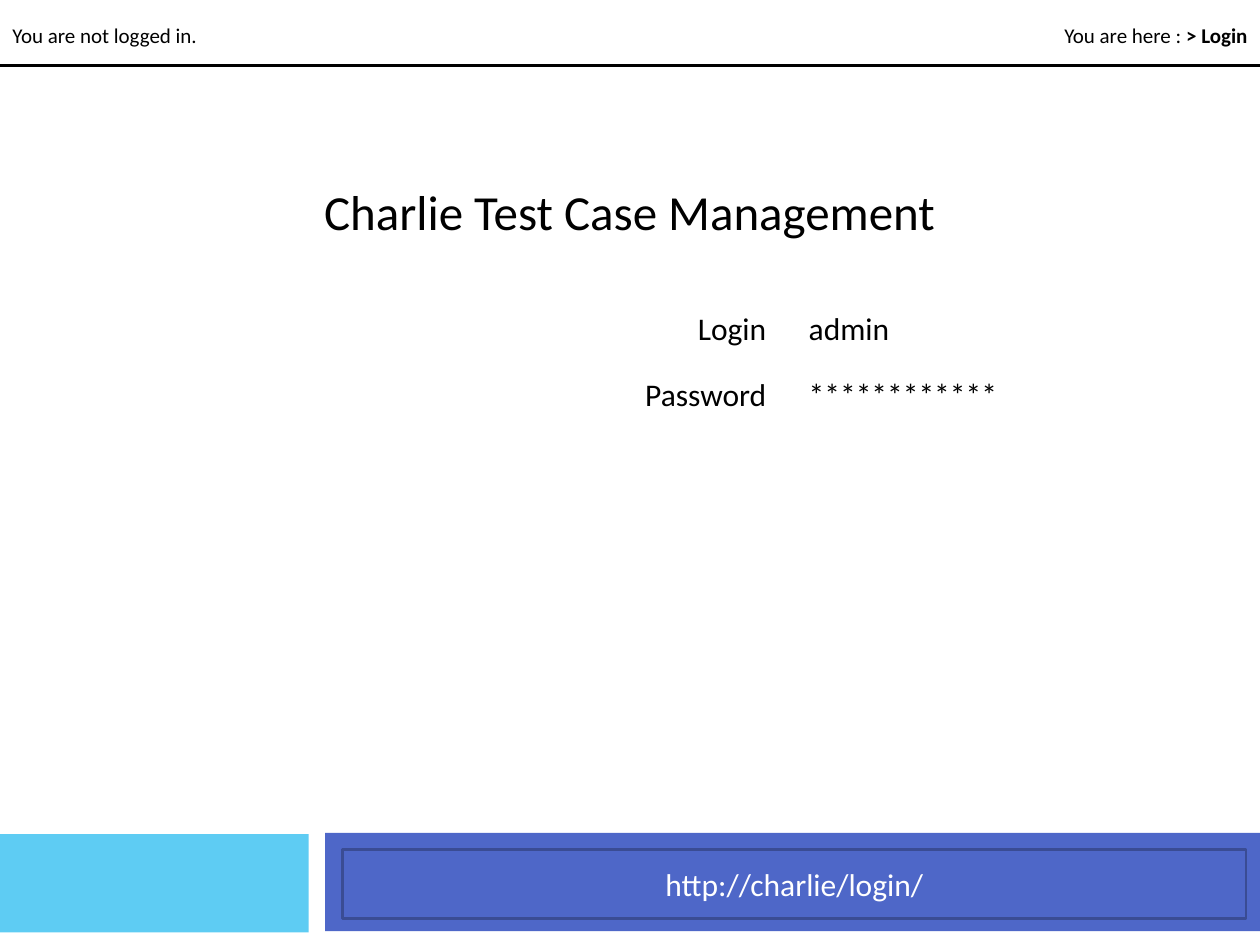
from lxml.etree import SubElement
from pptx import Presentation
from pptx.dml.color import RGBColor
from pptx.enum.shapes import MSO_CONNECTOR, MSO_SHAPE
from pptx.enum.text import MSO_ANCHOR, MSO_AUTO_SIZE, PP_ALIGN
from pptx.oxml.ns import qn
from pptx.util import Inches, Pt

BLACK = RGBColor(0x00, 0x00, 0x00)
WHITE = RGBColor(0xFF, 0xFF, 0xFF)
SKY = RGBColor(0x5E, 0xCC, 0xF3)
INDIGO = RGBColor(0x4E, 0x67, 0xC8)
NAVY = RGBColor(0x3A, 0x4C, 0x94)


class LoginSlide:
    font = "Calibri"

    def __init__(self, slide):
        self.slide = slide

    def set_runs(self, tf, runs, size, color=BLACK, align=PP_ALIGN.LEFT):
        """Fill the first paragraph with (text, bold) runs."""
        p = tf.paragraphs[0]
        p.alignment = align
        p.font.name = self.font
        p.font.size = Pt(size)
        p.font.color.rgb = color
        for text, bold in runs:
            r = p.add_run()
            r.text = text
            if bold:
                r.font.bold = True

    def title(self, text, x, y, w, h):
        s = self.slide.shapes.title
        s.left, s.top = Inches(x), Inches(y)
        s.width, s.height = Inches(w), Inches(h)
        tf = s.text_frame
        tf.auto_size = MSO_AUTO_SIZE.NONE
        tf.vertical_anchor = MSO_ANCHOR.TOP
        self.set_runs(tf, [(text, False)], 28, align=PP_ALIGN.CENTER)

    def text(self, runs, x, y, w, h, size, align=PP_ALIGN.LEFT, wrap=False):
        s = self.slide.shapes.add_textbox(Inches(x), Inches(y), Inches(w), Inches(h))
        tf = s.text_frame
        tf.word_wrap = wrap
        tf.auto_size = MSO_AUTO_SIZE.SHAPE_TO_FIT_TEXT
        self.set_runs(tf, runs, size, align=align)

    def bar(self, x, y, w, h, fill, line=None, text=None):
        s = self.slide.shapes.add_shape(
            MSO_SHAPE.RECTANGLE, Inches(x), Inches(y), Inches(w), Inches(h))
        s.shadow.inherit = False
        s.fill.solid()
        s.fill.fore_color.rgb = fill
        if line is None:
            s.line.fill.background()
        else:
            s.line.color.rgb = line
            s.line.width = Pt(1.5)
        if text:
            s.text_frame.vertical_anchor = MSO_ANCHOR.MIDDLE
            self.set_runs(s.text_frame, [(text, False)], 18, WHITE, PP_ALIGN.CENTER)

    def rule(self, y, width):
        s = self.slide.shapes.add_connector(
            MSO_CONNECTOR.STRAIGHT, 0, Inches(y), Inches(width), Inches(y))
        s.line.color.rgb = BLACK
        s.line.width = Pt(1.25)
        SubElement(s._element.spPr, qn("a:effectLst"))


def main():
    prs = Presentation()
    prs.slide_width, prs.slide_height = Inches(10), Inches(7.5)
    page = LoginSlide(prs.slides.add_slide(prs.slide_layouts[5]))

    page.bar(-0.01, 6.62, 2.46, 0.78, SKY)
    page.bar(2.58, 6.61, 7.42, 0.78, INDIGO)
    page.bar(2.72, 6.74, 7.17, 0.55, INDIGO, NAVY, "http://charlie/login/")

    page.title("Charlie Test Case Management", 1.57, 1.39, 6.85, 0.57)

    page.rule(0.52, 10)
    page.text([("You are not logged in.", False)], 0, 0.13, 1.68, 0.3, 12)
    page.text([("You are here : ", False), ("> Login", True)],
              8.32, 0.13, 1.68, 0.3, 12, PP_ALIGN.RIGHT)

    fields = [("Login", "admin", 0.85), ("Password", "************", 1.72)]
    for i, (label, value, width) in enumerate(fields):
        y = 2.4 + 0.53 * i
        page.text([(label, False)], 4.76, y, 1.42, 0.4, 18, PP_ALIGN.RIGHT, wrap=True)
        page.text([(value, False)], 6.32, y, width, 0.4, 18)

    prs.save("out.pptx")


if __name__ == "__main__":
    main()
